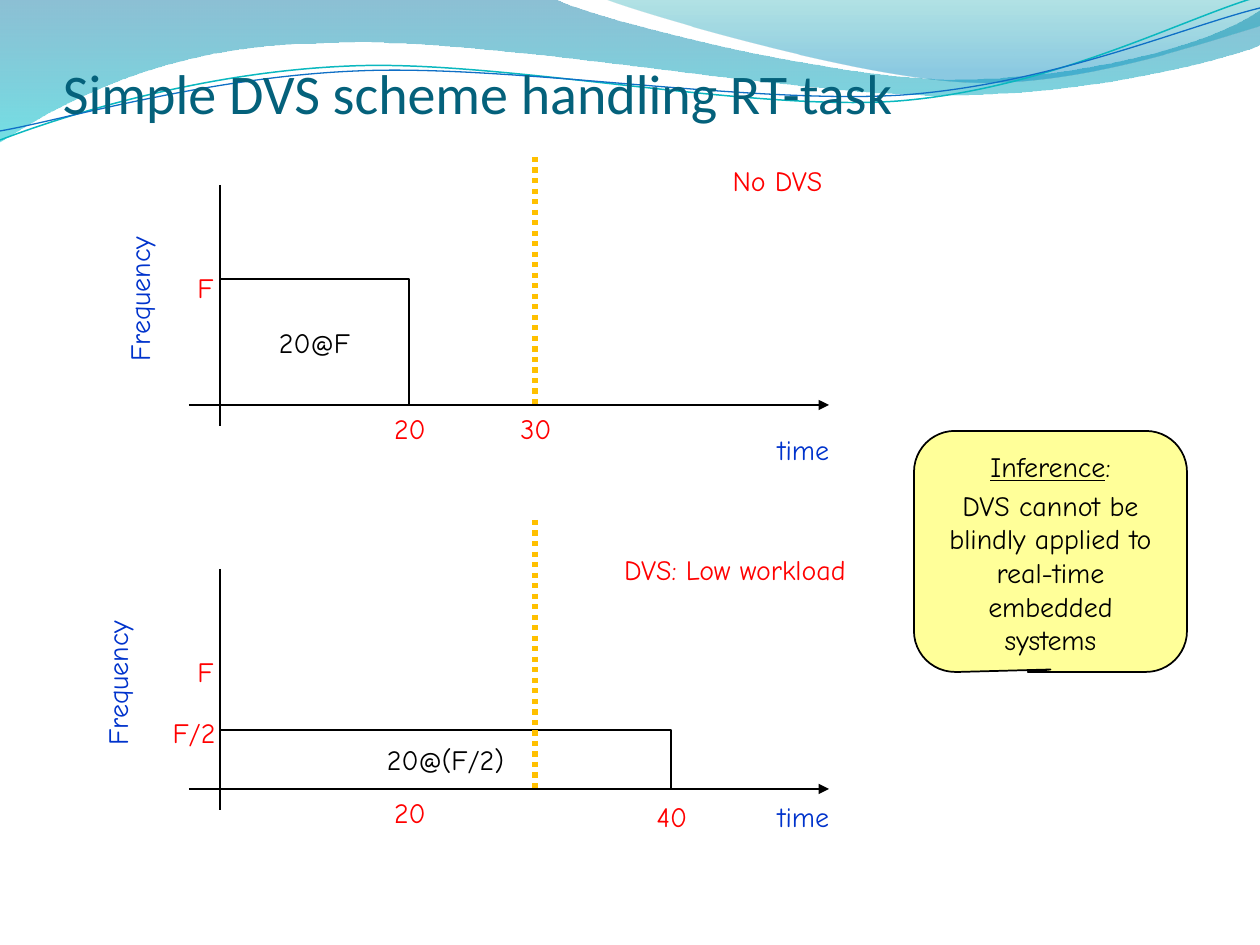
from lxml import etree
from pptx import Presentation, util as u
from pptx.dml.color import RGBColor
from pptx.enum import dml, shapes, text
from pptx.oxml.ns import qn

PX = 914400 // 126
BLACK, WHITE = RGBColor(0, 0, 0), RGBColor(255, 255, 255)
RED, BLUE = RGBColor(255, 0, 0), RGBColor(0, 0x33, 0xCC)
GOLD, YELLOW = RGBColor(0xFF, 0xC0, 0), RGBColor(0xFF, 0xFF, 0x99)
TITLE = RGBColor(0x04, 0x61, 0x7B)
DEEP, CYAN = RGBColor(0, 0x74, 0xA1), RGBColor(0, 0xC6, 0xCF)
TEAL, AZURE = RGBColor(0, 0xA1, 0xA9), RGBColor(0, 0x8B, 0xBF)
TEAL_LINE, BLUE_LINE = RGBColor(0x0A, 0xB8, 0xBF), RGBColor(0x0F, 0x6F, 0xC6)

# Outlines: a start point, then segments of one point (line) or three (curve).
# Gradient stops: position, colour, opacity in percent.
BANDS = [
    ([(0, -1), [(554, -1)], [(600, 21), (837, 79), (955, 79)],
      [(1075, 79), (1207, 47), (1260, 11)], [(1261, 45)],
      [(1239, 55), (1096, 96), (940, 95)], [(784, 95), (481, 35), (324, 43)],
      [(163, 44), (58, 105), (-1, 142)]],
     [(0, DEEP, 45), (1, CYAN, 55)]),
    ([(604, -1), [(641, 14), (859, 78), (969, 82)],
      [(1079, 87), (1211, 40), (1260, 26)], [(1260, 0)]],
     [(0, TEAL, 30), (0.8, AZURE, 45)]),
]
WAVES = [
    ([(0, 140), [(60, 117), (199, 72), (349, 66)],
      [(498, 59), (747, 112), (898, 101)], [(1050, 89), (1182, 19), (1257, -3)]],
     TEAL_LINE, 0.85),
    ([(0, 131), [(59, 121), (207, 77), (357, 71)],
      [(508, 64), (752, 105), (903, 95)], [(1053, 84), (1186, 26), (1260, 8)]],
     BLUE_LINE, 0.75),
]
# Vertical values are offsets from the baseline of the panel.
# Labels: text, centre x, top offset, width, colour.
PANELS = [
    dict(base=405, bar=("20@F", 189, 126), deadline=(-248, 0), freq_x=116,
         labels=[("F", 205, -141, 53, RED), ("20", 410, 0, 84, RED),
                 ("30", 536, 0, 84, RED), ("time", 803, 21, 179, BLUE),
                 ("No DVS", 777, -248, 273, RED)]),
    dict(base=789, bar=("20@(F/2)", 451, 59), deadline=(-269, 4), freq_x=94,
         labels=[("F", 205, -141, 53, RED), ("20", 410, 0, 84, RED),
                 ("F/2", 194, -80, 116, RED), ("40", 672, 4, 84, RED),
                 ("time", 803, 4, 179, BLUE),
                 ("DVS: Low workload", 735, -243, 294, RED)]),
]
AXIS_X, AXIS_LEFT, AXIS_RIGHT = 220, 189, 829
INFERENCE = [[("Inference", True), (":", False)],
             [("DVS cannot be blindly applied to real-time embedded systems", False)]]


def write(shape, content, size=16, font="Comic Neue", color=BLACK, wrap=True,
          align=text.PP_ALIGN.CENTER, anchor=text.MSO_ANCHOR.TOP, gap=0):
    """Fill a shape with a string or with paragraphs of (text, underline) runs."""
    tf = shape.text_frame
    tf.word_wrap, tf.vertical_anchor = wrap, anchor
    paragraphs = [[(content, False)]] if isinstance(content, str) else content
    for i, runs in enumerate(paragraphs):
        p = tf.add_paragraph() if i else tf.paragraphs[0]
        p.alignment, p.space_before = align, u.Pt(gap if i else 0)
        for words, underline in runs:
            r = p.add_run()
            r.text = words
            r.font.size, r.font.name, r.font.color.rgb = u.Pt(size), font, color
            if underline:
                r.font.underline = True


def box(x, y, w, h, content, **fmt):
    """Add a text box."""
    s = sp.add_textbox(x * PX, y * PX, w * PX, h * PX)
    write(s, content, **fmt)
    return s


def block(kind, x, y, w, h, fill, content, **fmt):
    """Add an outlined preset shape with text."""
    s = sp.add_shape(kind, x * PX, y * PX, w * PX, h * PX)
    s.shadow.inherit = False
    s.fill.solid()
    s.fill.fore_color.rgb = fill
    s.line.color.rgb, s.line.width = BLACK, u.Pt(1)
    write(s, content, **fmt)
    return s


def line(x1, y1, x2, y2, color=BLACK, width=0.75, dash=None, arrow=False):
    """Add a straight line, dashed or with an arrowhead on request."""
    s = sp.add_connector(shapes.MSO_CONNECTOR.STRAIGHT,
                         x1 * PX, y1 * PX, x2 * PX, y2 * PX)
    s.line.color.rgb, s.line.width = color, u.Pt(width)
    if dash:
        s.line.dash_style = dash
    if arrow:
        etree.SubElement(s.line._get_or_add_ln(), qn("a:tailEnd"), type="triangle")
    etree.SubElement(s._element.spPr, qn("a:effectLst"))


def freeform(outline, close):
    """Add a freeform, joining each three-point segment into a cubic curve."""
    start, *segments = outline
    builder = sp.build_freeform(*start, scale=PX)
    builder.add_line_segments([pt for seg in segments for pt in seg], close=close)
    s = builder.convert_to_shape()
    s.shadow.inherit = False
    steps = iter(list(s._element.spPr.iter(qn("a:lnTo"))))
    for seg in segments:
        first, *rest = [next(steps) for _ in seg]
        if rest:
            curve = etree.Element(qn("a:cubicBezTo"))
            first.addprevious(curve)
            for step in (first, *rest):
                curve.append(step[0])
                step.getparent().remove(step)
    return s


def band(outline, stops):
    """Add a closed area with a translucent top-to-bottom gradient."""
    s = freeform(outline, True)
    s.line.fill.background()
    s.fill.gradient()
    s.fill.gradient_angle = 270
    for stop, (pos, color, _) in zip(s.fill.gradient_stops, stops):
        stop.position, stop.color.rgb = pos, color
    for clr, (_, _, opacity) in zip(s._element.spPr.iter(qn("a:srgbClr")), stops):
        etree.SubElement(clr, qn("a:alpha"), val=str(opacity * 1000))


def wave(outline, color, width):
    """Add an open curved line."""
    s = freeform(outline, False)
    s.fill.background()
    s.line.color.rgb, s.line.width = color, u.Pt(width)


def panel(base, bar, deadline, freq_x, labels):
    """Draw one frequency-over-time diagram."""
    line(AXIS_X, base - 220, AXIS_X, base + 21)
    line(AXIS_LEFT, base, AXIS_RIGHT, base, arrow=True)
    task, w, h = bar
    block(shapes.MSO_SHAPE.RECTANGLE, AXIS_X, base - h, w, h, WHITE, task,
          wrap=False, anchor=text.MSO_ANCHOR.MIDDLE)
    s = box(freq_x, base - 190, 59, 168, "Frequency", color=BLUE)
    s.text_frame._txBody.bodyPr.set("vert", "vert270")
    start, end = deadline
    line(535, base + start, 535, base + end, GOLD, 3, dml.MSO_LINE.ROUND_DOT)
    for words, cx, dy, width, color in labels:
        box(cx - width // 2, base + dy, width, 47, words, color=color)


prs = Presentation()
prs.slide_width, prs.slide_height = u.Inches(10), u.Inches(7.5)
sp = prs.slides.add_slide(prs.slide_layouts[6]).shapes

for item in BANDS:
    band(*item)
for item in WAVES:
    wave(*item)
title = box(63, 53, 1134, 73, "Simple DVS scheme handling RT-task", size=32,
            font="Calibri", color=TITLE, align=text.PP_ALIGN.LEFT,
            anchor=text.MSO_ANCHOR.BOTTOM)
tf = title.text_frame
tf.margin_left = tf.margin_right = tf.margin_bottom = 0
for item in PANELS:
    panel(**item)
callout = block(shapes.MSO_SHAPE.ROUNDED_RECTANGULAR_CALLOUT, 914, 431, 273, 241,
                YELLOW, INFERENCE, gap=3.2)
for i, value in enumerate((0, 0.49, 0.17)):
    callout.adjustments[i] = value

prs.save("out.pptx")
